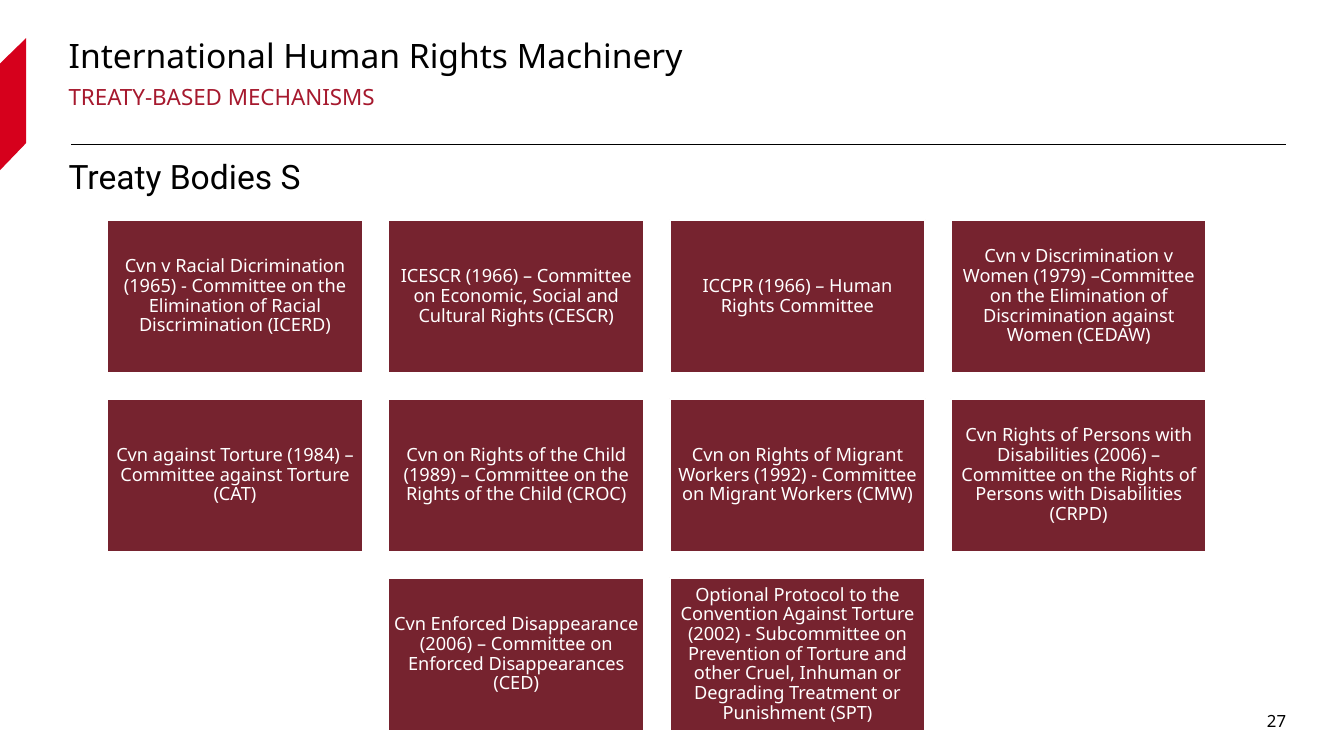
"""Build the slide on treaty-based human rights mechanisms."""
from lxml import etree
from pptx import Presentation
from pptx.dml.color import RGBColor
from pptx.enum.shapes import MSO_CONNECTOR, MSO_SHAPE
from pptx.enum.text import MSO_ANCHOR, MSO_AUTO_SIZE, PP_ALIGN
from pptx.oxml.ns import qn
from pptx.util import Pt

LEFT, MID, RIGHT = PP_ALIGN.LEFT, PP_ALIGN.CENTER, PP_ALIGN.RIGHT
TOP, CENTER = MSO_ANCHOR.TOP, MSO_ANCHOR.MIDDLE
FIXED = MSO_AUTO_SIZE.NONE
RECT, LINE = MSO_SHAPE.RECTANGLE, MSO_CONNECTOR.STRAIGHT
SANS = "Noto Sans"


def color(text):
    return RGBColor.from_string(text)


def write(shape, text, hue, font, frame, para):
    box = shape.text_frame
    box.text = text
    line = box.paragraphs[0]
    frame = {"word_wrap": True, "auto_size": FIXED, **frame}
    for item, values in ((box, frame), (line, para), (line.font, font)):
        for name, value in values.items():
            setattr(item, name, value)
    line.font.color.rgb = color(hue)


deck = Presentation()
deck.slide_width, deck.slide_height = Pt(960), Pt(540)
slide = deck.slides.add_slide(deck.slide_layouts[5])
shapes = slide.shapes

rule = shapes.add_connector(LINE, Pt(50.9), Pt(103.2), Pt(918.7), Pt(103.2))
rule.line.width = Pt(0.5)
rule.line.color.rgb = color("000000")
etree.SubElement(rule.element.spPr, qn("a:effectLst"))

form = shapes.build_freeform(Pt(0), Pt(45.4), scale=1.0)
form.add_line_segments([(Pt(18.7), Pt(27.2)), (Pt(18.7), Pt(102.2)),
                        (Pt(0), Pt(121.6))], close=True)
flag = form.convert_to_shape()
flag.shadow.inherit = False
flag.fill.solid()
flag.fill.fore_color.rgb = color("D6001C")
flag.line.fill.background()

title = shapes.title
spot = {"left": Pt(49), "top": Pt(34.6), "width": Pt(702.7), "height": Pt(42.5)}
for name, value in spot.items():
    setattr(title, name, value)
write(title, "International Human Rights Machinery", "000000",
      {"size": Pt(24), "name": SANS},
      {"margin_left": Pt(0), "margin_bottom": Pt(33), "vertical_anchor": CENTER},
      {"alignment": LEFT, "line_spacing": 0.9})

labels = [
    ("TREATY-BASED MECHANISMS", (49, 58.3, 702.7, 24.5), "A6192E", 16, SANS,
     {"margin_left": Pt(0), "vertical_anchor": TOP},
     {"alignment": LEFT, "line_spacing": 0.9}),
    ("Treaty Bodies S", (49, 108, 425.5, 28.8), "000000", 24, "Roboto",
     {"margin_left": Pt(0), "vertical_anchor": TOP}, {"alignment": LEFT}),
    ("27", (702.7, 500.4, 216, 28.8), "000000", 12, SANS,
     {"margin_right": Pt(0), "vertical_anchor": CENTER}, {"alignment": RIGHT}),
]
for text, place, hue, size, face, frame, para in labels:
    label = shapes.add_textbox(*map(Pt, place))
    write(label, text, hue, {"size": Pt(size), "name": face}, frame, para)

rows = [
    (0, ["Cvn v Racial Dicrimination (1965) - Committee on the Elimination of Racial Discrimination (ICERD)",
         "ICESCR (1966) – Committee on Economic, Social and Cultural Rights (CESCR)",
         "ICCPR (1966) – Human Rights Committee",
         "Cvn v Discrimination v Women (1979) –Committee on the Elimination of Discrimination against Women (CEDAW)"]),
    (0, ["Cvn against Torture (1984) – Committee against Torture (CAT)",
         "Cvn on Rights of the Child (1989) – Committee on the Rights of the Child (CROC)",
         "Cvn on Rights of Migrant Workers (1992) - Committee on Migrant Workers (CMW)",
         "Cvn Rights of Persons with Disabilities (2006) – Committee on the Rights of Persons with Disabilities (CRPD)"]),
    (1, ["Cvn Enforced Disappearance (2006) – Committee on Enforced Disappearances (CED)",
         "Optional Protocol to the Convention Against Torture (2002) - Subcommittee on Prevention of Torture and other Cruel, Inhuman or Degrading Treatment or Punishment (SPT)"]),
]
inset = {"margin_" + side: Pt(3.6) for side in ("left", "top", "right", "bottom")}
for row, (start, names) in enumerate(rows):
    for col, text in enumerate(names, start):
        card = shapes.add_shape(RECT, Pt(76.5 + 200.9 * col), Pt(157 + 127.8 * row),
                                Pt(182.6), Pt(109.4))
        card.shadow.inherit = False
        card.fill.solid()
        card.fill.fore_color.rgb = color("76232F")
        card.line.color.rgb = color("FFFFFF")
        card.line.width = Pt(1.5)
        write(card, text, "FFFFFF", {"size": Pt(13), "name": SANS},
              {"vertical_anchor": CENTER, **inset},
              {"alignment": MID, "line_spacing": 0.9})

deck.save("out.pptx")
